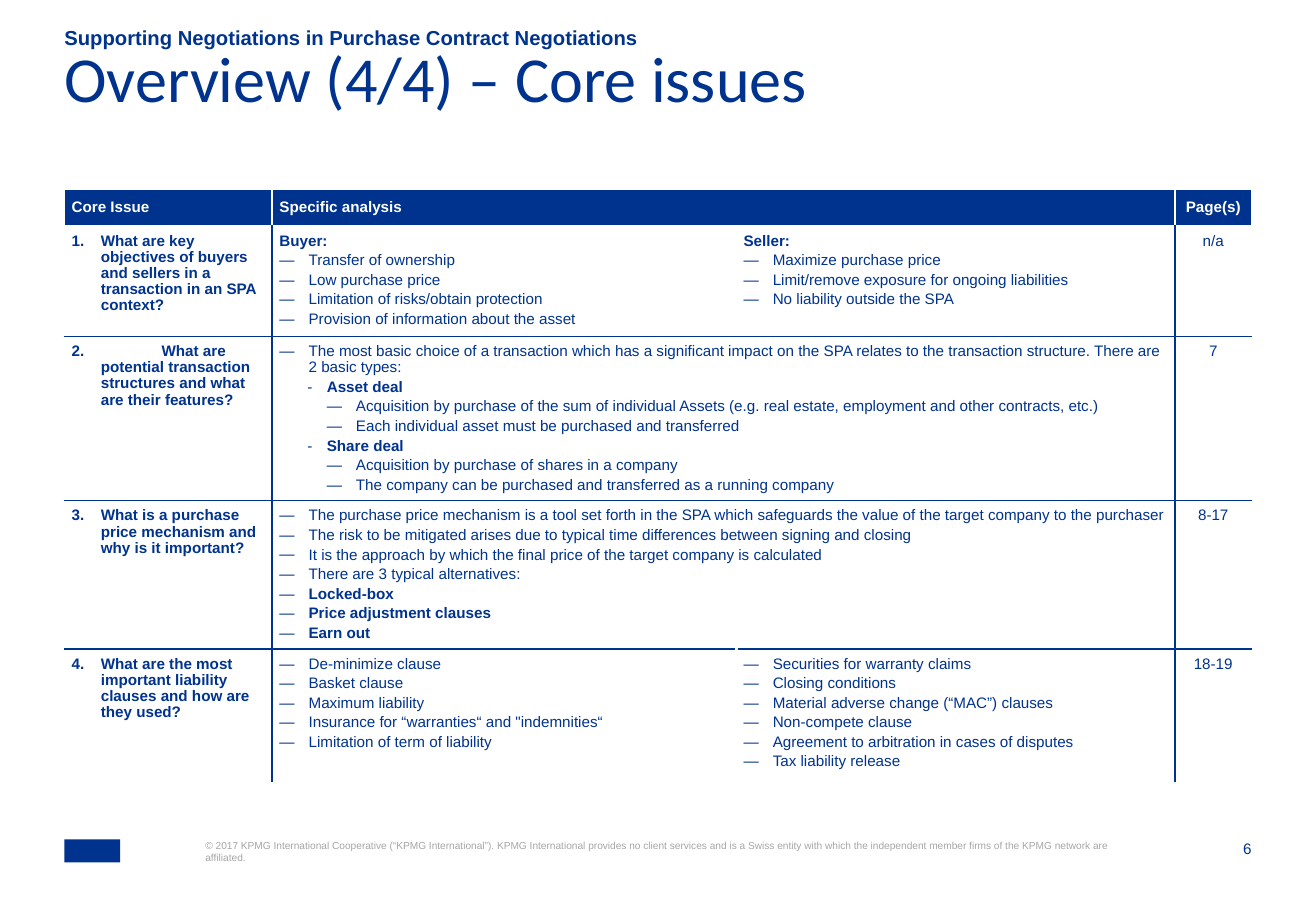
from lxml.etree import SubElement
from pptx import Presentation
from pptx.dml.color import RGBColor
from pptx.enum.shapes import MSO_SHAPE as Shape
from pptx.enum.text import MSO_ANCHOR as Anchor, MSO_AUTO_SIZE as AutoSize, PP_ALIGN as Align
from pptx.oxml.ns import qn
from pptx.util import Inches, Pt

NAVY = RGBColor(0x00, 0x33, 0x8D)
WHITE = RGBColor(0xFF, 0xFF, 0xFF)
GREY = RGBColor(0xA6, 0xA6, 0xA6)

LEFT, WIDTH = 0.53, 9.76
COLUMNS = [1.71, 3.82, 3.61, 0.63]
ROWS = [0.3, 0.91, 1.35, 1.22, 1.1]

HEADER = dict(bold=True, color=WHITE)
HEADING = dict(bold=True, after=2)
DASH = dict(bullet="—", margin=0.24, hang=0.24, after=2)
BOLD_DASH = dict(DASH, bold=True)
DEAL = dict(bullet="-", margin=0.39, hang=0.16, bold=True, after=2)
DETAIL = dict(DASH, margin=0.63)
QUESTION = dict(margin=0.24, hang=0.24, bold=True, after=2, tab=0.19)
PAGES = dict(align=Align.CENTER, after=2)


def styled(style, *texts):
    return [(text, style) for text in texts]


def question(text, number):
    return [(text, dict(QUESTION, number=number))]


# Each row lists its cells; None continues the cell to its left.
CONTENT = [
    [
        styled(HEADER, "Core Issue"),
        styled(HEADER, "Specific analysis"),
        None,
        styled(dict(HEADER, align=Align.CENTER), "Page(s)"),
    ],
    [
        question("What are key objectives of buyers and sellers in a transaction in an SPA context?", 1),
        styled(HEADING, "Buyer:")
        + styled(DASH, "Transfer of ownership", "Low purchase price",
                 "Limitation of risks/obtain protection",
                 "Provision of information about the asset"),
        styled(HEADING, "Seller:")
        + styled(DASH, "Maximize purchase price",
                 "Limit/remove exposure for ongoing liabilities",
                 "No liability outside the SPA"),
        styled(PAGES, "n/a"),
    ],
    [
        styled(QUESTION, "2. \t\tWhat are potential transaction structures and what are their features?"),
        styled(DASH, "The most basic choice of a transaction which has a significant impact on the SPA "
                     "relates to the transaction structure. There are 2 basic types:")
        + styled(DEAL, "Asset deal")
        + styled(DETAIL, "Acquisition by purchase of the sum of individual Assets "
                         "(e.g. real estate, employment and other contracts, etc.)",
                 "Each individual asset must be purchased and transferred")
        + styled(DEAL, "Share deal")
        + styled(DETAIL, "Acquisition by purchase of shares in a company",
                 "The company can be purchased and transferred as a running company"),
        None,
        styled(PAGES, "7"),
    ],
    [
        question("What is a purchase price mechanism and why is it important?", 3),
        styled(DASH, "The purchase price mechanism is a tool set forth in the SPA which safeguards "
                     "the value of the target company to the purchaser",
               "The risk to be mitigated arises due to typical time differences between signing and closing",
               "It is the approach by which the final price of the target company is calculated",
               "There are 3 typical alternatives:")
        + styled(BOLD_DASH, "Locked-box", "Price adjustment clauses", "Earn out"),
        None,
        styled(PAGES, "8-17"),
    ],
    [
        question("What are the most important liability clauses and how are they used?", 4),
        styled(DASH, "De-minimize clause", "Basket clause", "Maximum liability",
               "Insurance for “warranties“ and \"indemnities“",
               "Limitation of term of liability"),
        styled(DASH, "Securities for warranty claims", "Closing conditions",
               "Material adverse change (“MAC”) clauses", "Non-compete clause",
               "Agreement to arbitration in cases of disputes", "Tax liability release"),
        styled(PAGES, "18-19"),
    ],
]


def write(para, text, size=9, font="Arial", color=NAVY, bold=False, align=Align.LEFT, spacing=0.95,
          after=0, margin=0, hang=0, bullet=None, number=None, tab=None):
    props = para._p.get_or_add_pPr()
    props.set("marL", str(Inches(margin)))
    props.set("indent", str(-Inches(hang)))
    if bullet:
        tint = SubElement(props, qn("a:buClr"))
        SubElement(tint, qn("a:srgbClr"), val=str(color))
        SubElement(props, qn("a:buFont"), typeface=font)
        SubElement(props, qn("a:buChar"), char=bullet)
    elif number:
        SubElement(props, qn("a:buFont"), typeface=font)
        SubElement(props, qn("a:buAutoNum"), type="arabicPeriod", startAt=str(number))
    else:
        SubElement(props, qn("a:buNone"))
    if tab:
        stops = SubElement(props, qn("a:tabLst"))
        SubElement(stops, qn("a:tab"), pos=str(Inches(tab)), algn="l")
    para.alignment = align
    para.line_spacing = spacing
    para.space_before = Pt(0)
    para.space_after = Pt(after)
    span = para.add_run()
    span.text = text
    span.font.size = Pt(size)
    span.font.name = font
    span.font.bold = bold
    span.font.color.rgb = color


def fill_box(box, text, left, top, width, height, anchor=Anchor.TOP, **style):
    """Place a text box or placeholder and write one paragraph in it."""
    box.left, box.top, box.width, box.height = map(Inches, (left, top, width, height))
    frame = box.text_frame
    frame.margin_left = frame.margin_right = frame.margin_top = frame.margin_bottom = 0
    frame.word_wrap = True
    frame.auto_size = AutoSize.NONE
    frame.vertical_anchor = anchor
    write(frame.paragraphs[0], text, **style)


def add_label(page, text, *place, **style):
    fill_box(page.shapes.add_textbox(0, 0, 0, 0), text, *place, **style)


def draw_borders(cell, row, column):
    """Navy lines inside the table; white at its edges, header and column gap."""
    inner = row > 0
    gap = (WHITE, 2.25)
    navy, white = (NAVY, 1), (WHITE, 1)
    split = inner and CONTENT[row][2] is not None
    edges = {
        "lnL": gap if split and column == 2 else navy if inner and column > 0 else white,
        "lnR": gap if split and column == 1 else navy if inner and column < 3 else white,
        "lnT": navy if row > 1 else white,
        "lnB": navy if inner and row < len(ROWS) - 1 else white,
    }
    props = cell._tc.get_or_add_tcPr()
    for edge, (color, width) in edges.items():
        line = SubElement(props, qn(f"a:{edge}"), w=str(Pt(width)))
        solid = SubElement(line, qn("a:solidFill"))
        SubElement(solid, qn("a:srgbClr"), val=str(color))


def fill_cell(cell, content, is_header):
    cell.margin_left = cell.margin_right = cell.margin_top = cell.margin_bottom = Inches(0.06)
    cell.vertical_anchor = Anchor.MIDDLE if is_header else Anchor.TOP
    if is_header:
        cell.fill.solid()
        cell.fill.fore_color.rgb = NAVY
    else:
        cell.fill.background()
    frame = cell.text_frame
    for index, (text, style) in enumerate(content or []):
        para = frame.add_paragraph() if index else frame.paragraphs[0]
        write(para, text, **style)


def add_issue_table(page):
    table = page.shapes.add_table(len(ROWS), len(COLUMNS), Inches(LEFT), Inches(1.56),
                                  Inches(WIDTH), Inches(sum(ROWS))).table
    table.first_row = table.horz_banding = False
    for column, width in zip(table.columns, COLUMNS):
        column.width = Inches(width)
    for row, height in enumerate(ROWS):
        table.rows[row].height = Inches(height)
        for column, content in enumerate(CONTENT[row]):
            cell = table.cell(row, column)
            draw_borders(cell, row, column)
            fill_cell(cell, content, row == 0)
            if content is None:
                table.cell(row, column - 1).merge(cell)


def add_logo_block(page):
    block = page.shapes.add_shape(Shape.RECTANGLE, Inches(LEFT), Inches(6.91), Inches(0.46), Inches(0.19))
    block.shadow.inherit = False
    block.fill.solid()
    block.fill.fore_color.rgb = NAVY
    block.line.fill.background()


def main():
    deck = Presentation()
    deck.slide_width, deck.slide_height = Inches(10.83), Inches(7.5)
    page = deck.slides.add_slide(deck.slide_layouts[1])
    add_logo_block(page)
    add_label(page, "6", 9.87, 6.91, 0.43, 0.16, align=Align.RIGHT, spacing=1)
    add_label(page, "© 2017 KPMG International Cooperative (“KPMG International”). KPMG International provides "
                    "no client services and is a Swiss entity with which the independent member firms of the "
                    "KPMG network are affiliated.",
              1.69, 6.91, 7.49, 0.41, size=6, color=GREY, spacing=1)
    fill_box(page.placeholders[1], "Supporting Negotiations in Purchase Contract Negotiations",
             LEFT, 0.22, 9.4, 0.19, anchor=Anchor.BOTTOM, size=12, bold=True, spacing=1)
    fill_box(page.shapes.title, "Overview (4/4) – Core issues",
             LEFT, 0.49, WIDTH, 0.79, size=38, font="Calibri", spacing=0.7)
    add_issue_table(page)
    deck.save("out.pptx")


if __name__ == "__main__":
    main()
